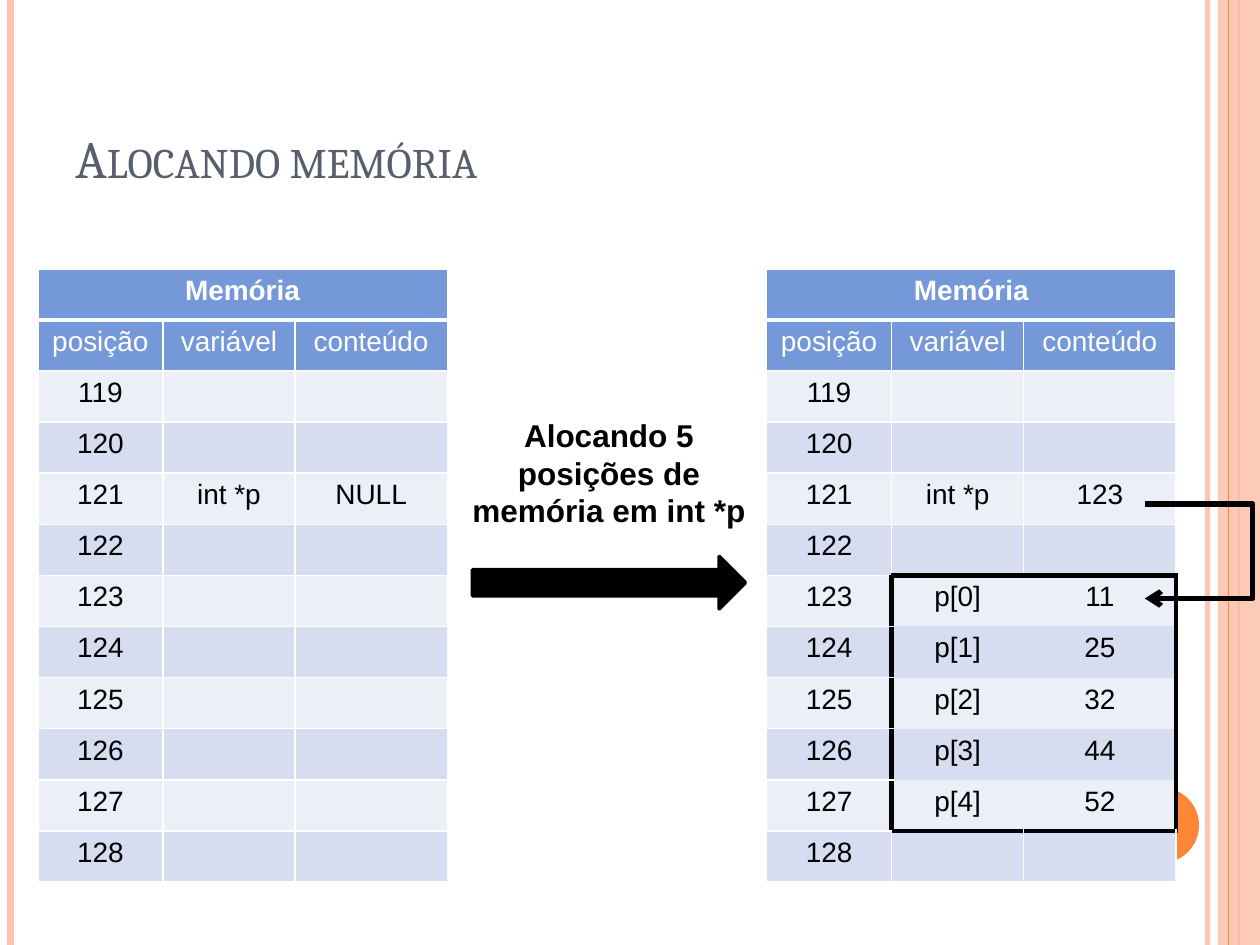
from dataclasses import dataclass
from typing import Optional

import pptx
import pptx.dml.color
import pptx.enum.dml
import pptx.enum.shapes
import pptx.enum.text
import pptx.oxml.ns
import pptx.oxml.xmlchemy
import pptx.util
from lxml import etree

Pt = pptx.util.Pt
qn = pptx.oxml.ns.qn
Shape = pptx.enum.shapes.MSO_SHAPE
Connector = pptx.enum.shapes.MSO_CONNECTOR
Anchor = pptx.enum.text.MSO_ANCHOR
Align = pptx.enum.text.PP_ALIGN


@dataclass(frozen=True)
class Theme:
    orange: str = "FE8637"
    peach: str = "FEC3AE"
    slate: str = "575F6D"
    header: str = "7598D9"
    bands: tuple = ("ECEFF8", "D6DDF1")
    black: str = "000000"
    white: str = "FFFFFF"
    title_font: str = "Cambria"
    body_font: str = "Arial"
    title_size: int = 30
    label_size: int = 18
    cell_size: int = 16


@dataclass(frozen=True)
class Box:
    left: float
    top: float
    width: float
    height: float

    def lengths(self) -> tuple:
        return Pt(self.left), Pt(self.top), Pt(self.width), Pt(self.height)


@dataclass(frozen=True)
class Stripe:
    x: float
    color: str
    width: float
    opacity: int = 100


@dataclass(frozen=True)
class Block:
    """Framed range of table cells, ends included."""
    first_row: int
    last_row: int
    first_column: int
    last_column: int

    def holds(self, row: int, column: int) -> bool:
        return (self.first_row <= row <= self.last_row
                and self.first_column <= column <= self.last_column)


@dataclass(frozen=True)
class Memory:
    left: float
    contents: dict  # position -> (variable, content)
    block: Optional[Block] = None


THEME = Theme()
PAGE_WIDTH, PAGE_HEIGHT = 720, 540
POSITIONS = range(119, 129)
COLUMN_WIDTHS = (71.5, 75.5, 87)
TABLE_TOP, ROW_HEIGHT = 153.6, 29.2
SIDES = {"a:lnL": (0, -1), "a:lnR": (0, 1), "a:lnT": (-1, 0), "a:lnB": (1, 0)}

BACK_STRIPES = (Stripe(690, THEME.peach, 3, 93), Stripe(6, THEME.peach, 4.5),
                Stripe(708, THEME.orange, 1.5))
FRONT_STRIPE = Stripe(702, THEME.orange, 0.75)

ALLOCATED = (11, 25, 32, 44, 52)
MEMORIES = (
    Memory(21.6, {121: ("int *p", "NULL")}),
    Memory(438, {121: ("int *p", "123"),
                 **{123 + i: (f"p[{i}]", str(value))
                    for i, value in enumerate(ALLOCATED)}},
           Block(6, 10, 1, 2)),
)


def rgb(color: str) -> pptx.dml.color.RGBColor:
    return pptx.dml.color.RGBColor.from_string(color)


def set_opacity(element, percent: int) -> None:
    if percent < 100:
        color = next(element.iter(qn("a:srgbClr")))
        etree.SubElement(color, qn("a:alpha"), val=str(percent * 1000))


def style_text(para, text: str, font: str, size: float, color: str,
               bold: bool = False, align=Align.CENTER) -> None:
    para.text = text
    para.alignment = align
    para.font.name = font
    para.font.size = Pt(size)
    para.font.bold = bold
    para.font.color.rgb = rgb(color)


def add_line(page, kind, start: tuple, end: tuple, color: str, width: float):
    line = page.shapes.add_connector(kind, *(Pt(v) for v in start + end))
    line.line.color.rgb = rgb(color)
    line.line.width = Pt(width)
    etree.SubElement(line._element.spPr, qn("a:effectLst"))
    return line


def add_stripe(page, stripe: Stripe) -> None:
    line = add_line(page, Connector.STRAIGHT, (stripe.x, 0),
                    (stripe.x, PAGE_HEIGHT), stripe.color, stripe.width)
    set_opacity(line._element.spPr, stripe.opacity)


def add_solid(page, kind, box: Box, color: str, opacity: int = 100):
    shape = page.shapes.add_shape(kind, *box.lengths())
    shape.shadow.inherit = False
    shape.fill.solid()
    shape.fill.fore_color.rgb = rgb(color)
    shape.line.fill.background()
    set_opacity(shape._element.spPr, opacity)
    return shape


def add_text(page, box: Box, text: str, anchor, **style):
    frame = page.shapes.add_textbox(*box.lengths()).text_frame
    frame.word_wrap = True
    frame.vertical_anchor = anchor
    style_text(frame.paragraphs[0], text, **style)
    return frame.paragraphs[0]


def border_of(block: Optional[Block], row: int, column: int, step: tuple) -> Optional[tuple]:
    """Colour and width of one cell side; None inside the framed block."""
    beyond = row + step[0], column + step[1]
    inside = block is not None and block.holds(row, column)
    inside_beyond = block is not None and block.holds(*beyond)
    if inside != inside_beyond:
        return THEME.black, 3
    if inside:
        return None
    return THEME.white, 3 if {row, beyond[0]} == {0, 1} else 1


def set_borders(cell, block: Optional[Block], row: int, column: int) -> None:
    properties = cell._tc.get_or_add_tcPr()
    for index, (tag, step) in enumerate(SIDES.items()):
        border = border_of(block, row, column, step)
        line = etree.Element(qn(tag))
        if border is None:
            etree.SubElement(line, qn("a:noFill"))
        else:
            color, width = border
            line.set("w", str(Pt(width)))
            fill = etree.SubElement(line, qn("a:solidFill"))
            etree.SubElement(fill, qn("a:srgbClr"), val=color)
        properties.insert(index, line)


def add_memory(page, memory: Memory) -> None:
    rows = [("Memória", "", ""), ("posição", "variável", "conteúdo")]
    rows += [(str(p), *memory.contents.get(p, ("", ""))) for p in POSITIONS]
    box = Box(memory.left, TABLE_TOP, sum(COLUMN_WIDTHS), ROW_HEIGHT * len(rows))
    table = page.shapes.add_table(len(rows), len(COLUMN_WIDTHS), *box.lengths()).table
    table.first_row = table.horz_banding = False
    for column, width in zip(table.columns, COLUMN_WIDTHS):
        column.width = Pt(width)
    for r, texts in enumerate(rows):
        table.rows[r].height = Pt(ROW_HEIGHT)
        for c, text in enumerate(texts):
            cell = table.cell(r, c)
            cell.fill.solid()
            cell.fill.fore_color.rgb = rgb(THEME.header if r < 2 else THEME.bands[r % 2])
            set_borders(cell, memory.block, r, c)
            style_text(cell.text_frame.paragraphs[0], text, THEME.body_font, THEME.cell_size,
                       THEME.white if r < 2 else THEME.black, bold=r == 0)
    table.cell(0, 0).merge(table.cell(0, len(COLUMN_WIDTHS) - 1))


def add_pointer(page) -> None:
    """Elbow arrow from the pointer's content to the first allocated cell."""
    x, reach, sliver = 654, 56.8, 0.13
    line = add_line(page, Connector.ELBOW, (x, 288), (x + sliver, 342), THEME.black, 3)
    guides = line._element.spPr.find(qn("a:prstGeom")).get_or_add_avLst()
    etree.SubElement(guides, qn("a:gd"), name="adj1",
                     fmla=f"val {round(reach / sliver * 100000)}")
    etree.SubElement(line.line._get_or_add_ln(), qn("a:tailEnd"), type="arrow")


def main() -> None:
    deck = pptx.Presentation()
    deck.slide_width, deck.slide_height = Pt(PAGE_WIDTH), Pt(PAGE_HEIGHT)
    page = deck.slides.add_slide(deck.slide_layouts[6])

    for stripe in BACK_STRIPES:
        add_stripe(page, stripe)
    add_solid(page, Shape.RECTANGLE, Box(696, 0, 24, PAGE_HEIGHT), THEME.peach, 87)
    add_stripe(page, FRONT_STRIPE)
    add_solid(page, Shape.OVAL, Box(642, 450, 43.2, 43.2), THEME.orange)

    title = add_text(page, Box(36, 21.6, 588, 90), "Alocando memória", Anchor.BOTTOM,
                     font=THEME.title_font, size=THEME.title_size,
                     color=THEME.slate, align=Align.LEFT)
    title.font._element.set("cap", "small")

    arrow = add_solid(page, Shape.RIGHT_ARROW, Box(270, 318, 156, 30), THEME.black)
    arrow.line.color.rgb = rgb(THEME.black)
    arrow.line.width = Pt(2)
    add_text(page, Box(258, 234, 180, 72.7), "Alocando 5 posições de memória em int *p",
             Anchor.TOP, font=THEME.body_font, size=THEME.label_size,
             color=THEME.black, bold=True)
    for memory in MEMORIES:
        add_memory(page, memory)
    add_pointer(page)
    deck.save("out.pptx")


if __name__ == "__main__":
    main()
